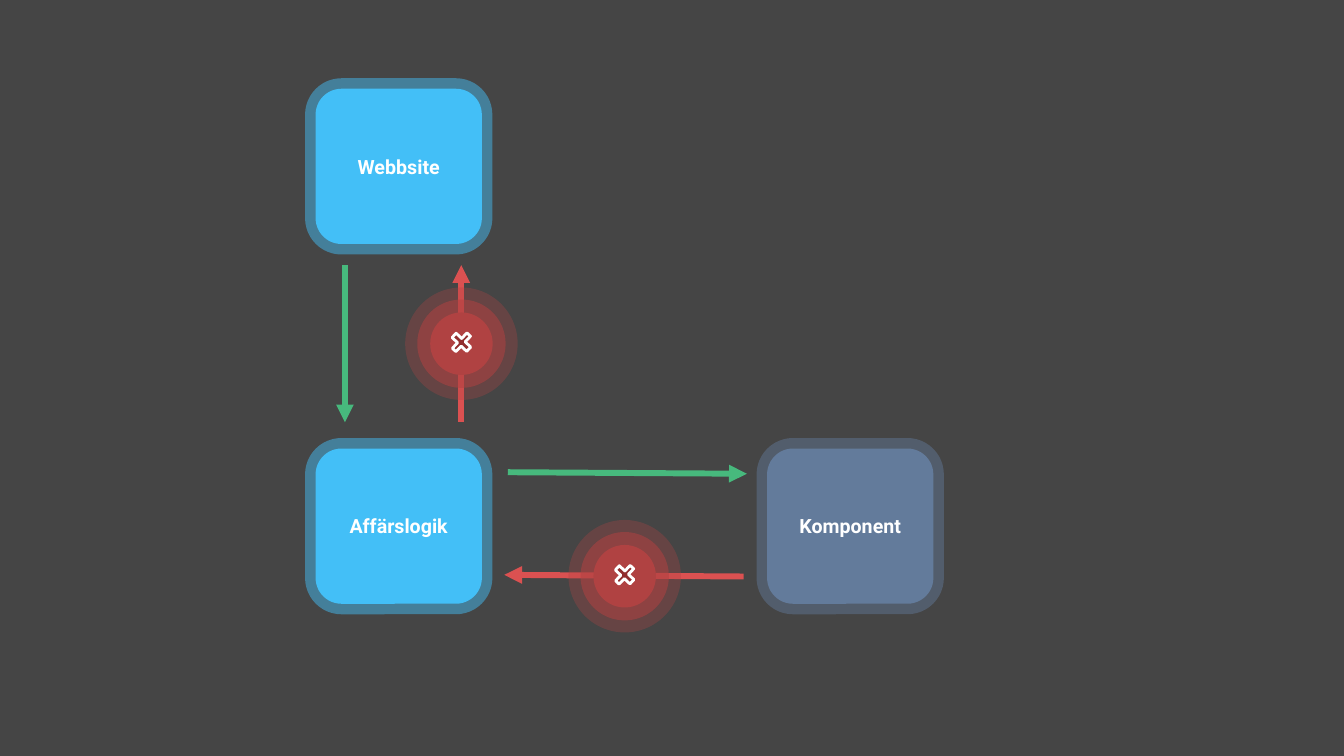
"""Draws allowed and forbidden dependencies between a website, business logic and a component."""
from dataclasses import dataclass

from lxml import etree
from pptx import Presentation
from pptx.dml.color import RGBColor
from pptx.enum.shapes import MSO_CONNECTOR, MSO_SHAPE
from pptx.enum.text import MSO_ANCHOR, PP_ALIGN
from pptx.oxml.ns import qn
from pptx.shapes.autoshape import Shape
from pptx.slide import Slide
from pptx.util import Pt

ROUNDED = MSO_SHAPE.ROUNDED_RECTANGLE
OVAL = MSO_SHAPE.OVAL
CROSS = MSO_SHAPE.CROSS
STRAIGHT = MSO_CONNECTOR.STRAIGHT
MIDDLE = MSO_ANCHOR.MIDDLE
CENTER = PP_ALIGN.CENTER


@dataclass(frozen=True)
class Theme:
    background: str = "454545"
    layer: str = "43BFF7"
    component: str = "637B9B"
    allowed: str = "47B97D"
    forbidden: str = "DB5151"
    badge: str = "B04242"
    cross: str = "922E2E"
    white: str = "FFFFFF"
    font: str = "Roboto"
    label_size: float = 14


@dataclass(frozen=True)
class Box:
    left: float
    top: float
    width: float
    height: float


@dataclass(frozen=True)
class Outline:
    color: str
    width: float
    opacity: int = 100


@dataclass(frozen=True)
class Tile:
    label: str
    left: float
    top: float
    color: str
    opacity: int


@dataclass(frozen=True)
class Arrow:
    start: tuple[float, float]
    end: tuple[float, float]
    color: str
    pointed_end: str


@dataclass(frozen=True)
class Badge:
    center_x: float
    center_y: float


THEME = Theme()
SLIDE_WIDTH, SLIDE_HEIGHT = 960, 540
TILE_WIDTH, TILE_HEIGHT = 118.8, 110.9
LEFT_COLUMN, RIGHT_COLUMN = 225.4, 547.9
TOP_ROW, BOTTOM_ROW = 63.4, 320.4
ARROW_WIDTH = 4.25
DISC_SIZE = 44.64
CROSS_WIDTH, CROSS_HEIGHT = 15.1, 14.4
CROSS_RAISE = 1
CROSS_ANGLE = 313.5
CROSS_NOTCH = 0.379

TILES = (
    Tile("Komponent", RIGHT_COLUMN, BOTTOM_ROW, THEME.component, 46),
    Tile("Webbsite", LEFT_COLUMN, TOP_ROW, THEME.layer, 48),
    Tile("Affärslogik", LEFT_COLUMN, BOTTOM_ROW, THEME.layer, 48),
)
ARROWS = (
    Arrow((329.5, 189.4), (329.5, 301.7), THEME.forbidden, "a:headEnd"),
    Arrow((246.4, 189.4), (246.4, 301.7), THEME.allowed, "a:tailEnd"),
    Arrow((362.7, 337.3), (533.5, 338.4), THEME.allowed, "a:tailEnd"),
    Arrow((360.2, 410.6), (531.2, 411.8), THEME.forbidden, "a:headEnd"),
)
BADGES = (Badge(329.6, 245.5), Badge(446.2, 411.6))
DISC_RINGS = (
    (THEME.badge, Outline(THEME.badge, 18.5, 54)),
    (None, Outline(THEME.badge, 35.75, 31)),
)
LABEL_FORMAT = {"name": THEME.font, "size": Pt(THEME.label_size), "bold": True}


def rgb(color: str) -> RGBColor:
    return RGBColor.from_string(color)


def add_figure(shapes, preset: MSO_SHAPE, box: Box, fill: str | None, outline: Outline) -> Shape:
    figure = shapes.add_shape(preset, Pt(box.left), Pt(box.top), Pt(box.width), Pt(box.height))
    figure.shadow.inherit = False
    if fill is None:
        figure.fill.background()
    else:
        figure.fill.solid()
        figure.fill.fore_color.rgb = rgb(fill)
    figure.line.width = Pt(outline.width)
    figure.line.color.rgb = rgb(outline.color)
    if outline.opacity < 100:
        line_color = next(figure.line._get_or_add_ln().iter(qn("a:srgbClr")))
        etree.SubElement(line_color, qn("a:alpha"), val=str(outline.opacity * 1000))
    return figure


def draw_tile(slide: Slide, tile: Tile) -> None:
    box = Box(tile.left, tile.top, TILE_WIDTH, TILE_HEIGHT)
    figure = add_figure(slide.shapes, ROUNDED, box, tile.color, Outline(tile.color, 15, tile.opacity))
    frame = figure.text_frame
    frame.vertical_anchor = MIDDLE
    label = frame.paragraphs[0]
    label.alignment = CENTER
    run = label.add_run()
    run.text = tile.label
    for attribute, value in LABEL_FORMAT.items():
        setattr(run.font, attribute, value)
    run.font.color.rgb = rgb(THEME.white)


def draw_arrow(slide: Slide, arrow: Arrow) -> None:
    connector = slide.shapes.add_connector(
        STRAIGHT, *(Pt(value) for value in arrow.start + arrow.end)
    )
    connector.line.width = Pt(ARROW_WIDTH)
    connector.line.color.rgb = rgb(arrow.color)
    etree.SubElement(connector.line._get_or_add_ln(), qn(arrow.pointed_end), type="triangle")
    etree.SubElement(connector._element.spPr, qn("a:effectLst"))


def centered_box(badge: Badge, width: float, height: float, raised: float = 0) -> Box:
    return Box(badge.center_x - width / 2, badge.center_y - height / 2 - raised, width, height)


def draw_badge(slide: Slide, badge: Badge) -> None:
    shapes = slide.shapes.add_group_shape().shapes
    disc_box = centered_box(badge, DISC_SIZE, DISC_SIZE)
    for fill, ring in DISC_RINGS:
        add_figure(shapes, OVAL, disc_box, fill, ring)
    cross_box = centered_box(badge, CROSS_WIDTH, CROSS_HEIGHT, CROSS_RAISE)
    cross = add_figure(shapes, CROSS, cross_box, THEME.cross, Outline(THEME.white, 2))
    cross.rotation = CROSS_ANGLE
    cross.adjustments[0] = CROSS_NOTCH


def main() -> None:
    presentation = Presentation()
    presentation.slide_width = Pt(SLIDE_WIDTH)
    presentation.slide_height = Pt(SLIDE_HEIGHT)
    slide = presentation.slides.add_slide(presentation.slide_layouts[6])
    slide.background.fill.solid()
    slide.background.fill.fore_color.rgb = rgb(THEME.background)
    for tile in TILES:
        draw_tile(slide, tile)
    for arrow in ARROWS:
        draw_arrow(slide, arrow)
    for badge in BADGES:
        draw_badge(slide, badge)
    presentation.save("out.pptx")


if __name__ == "__main__":
    main()
